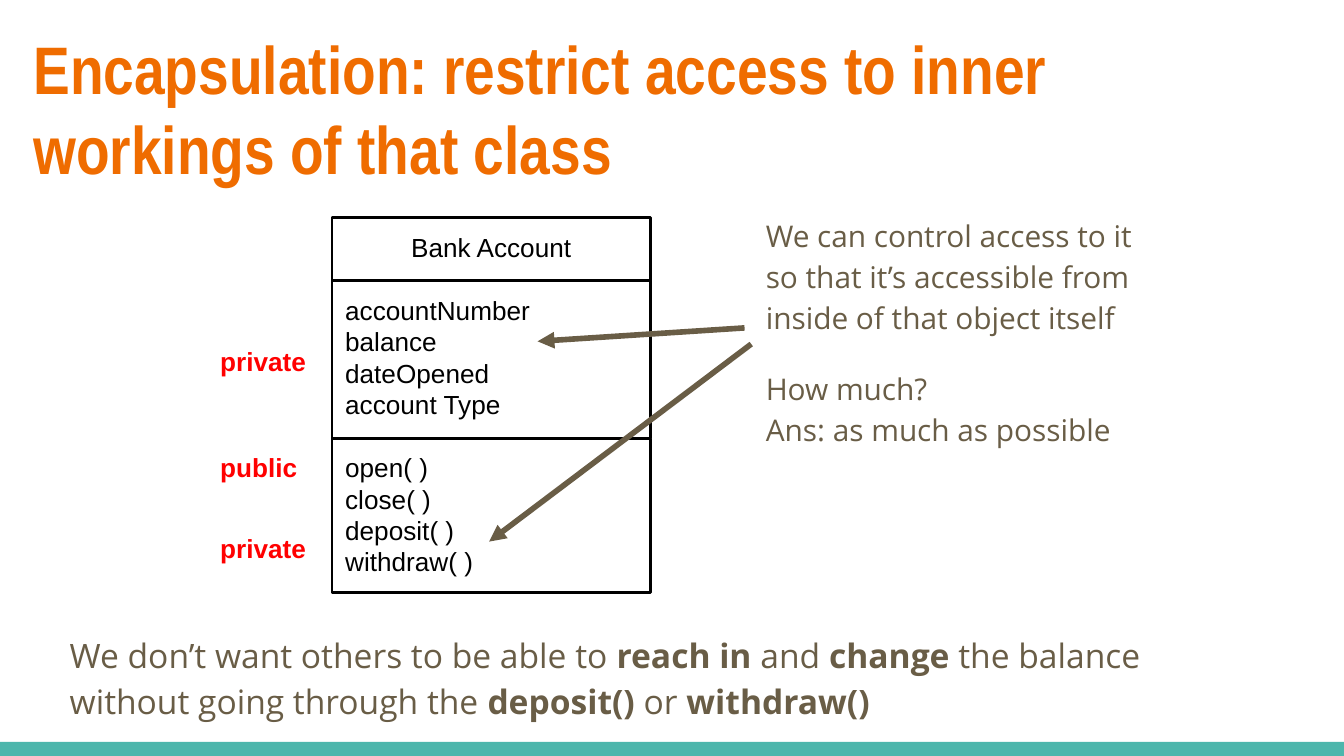
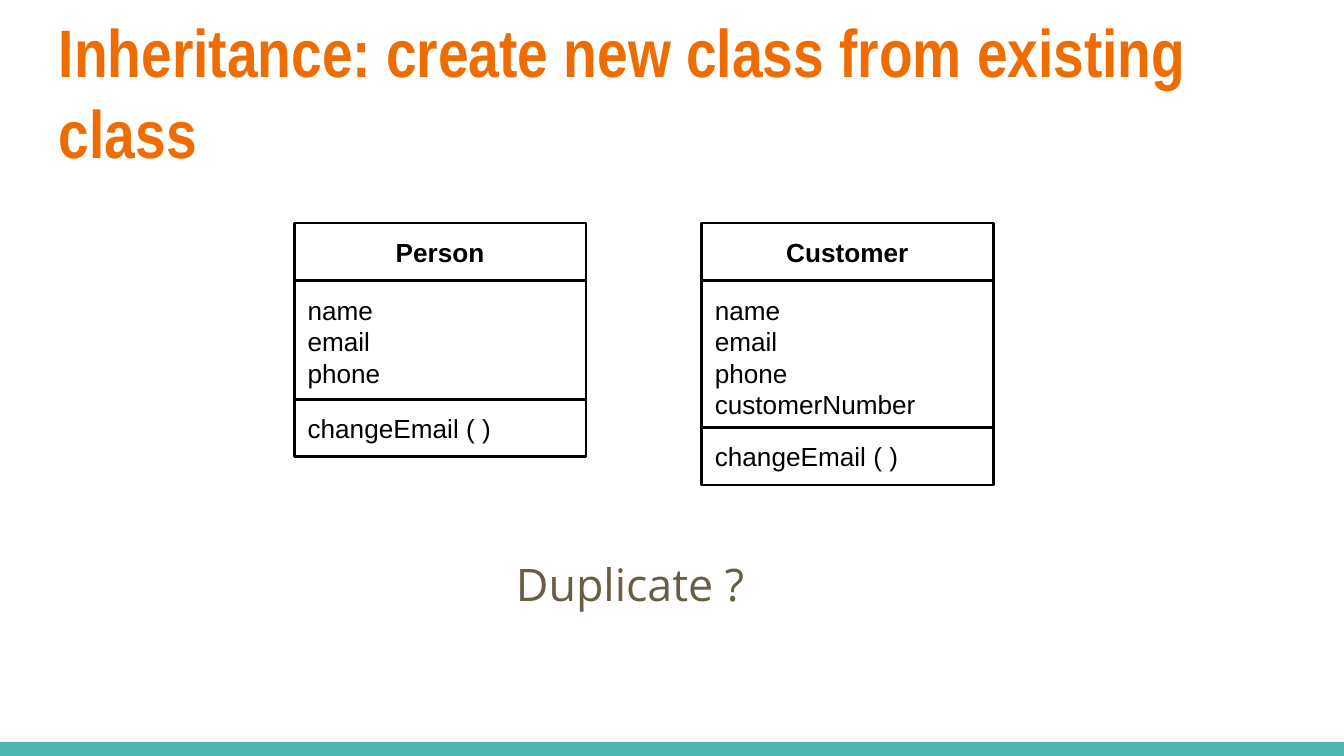
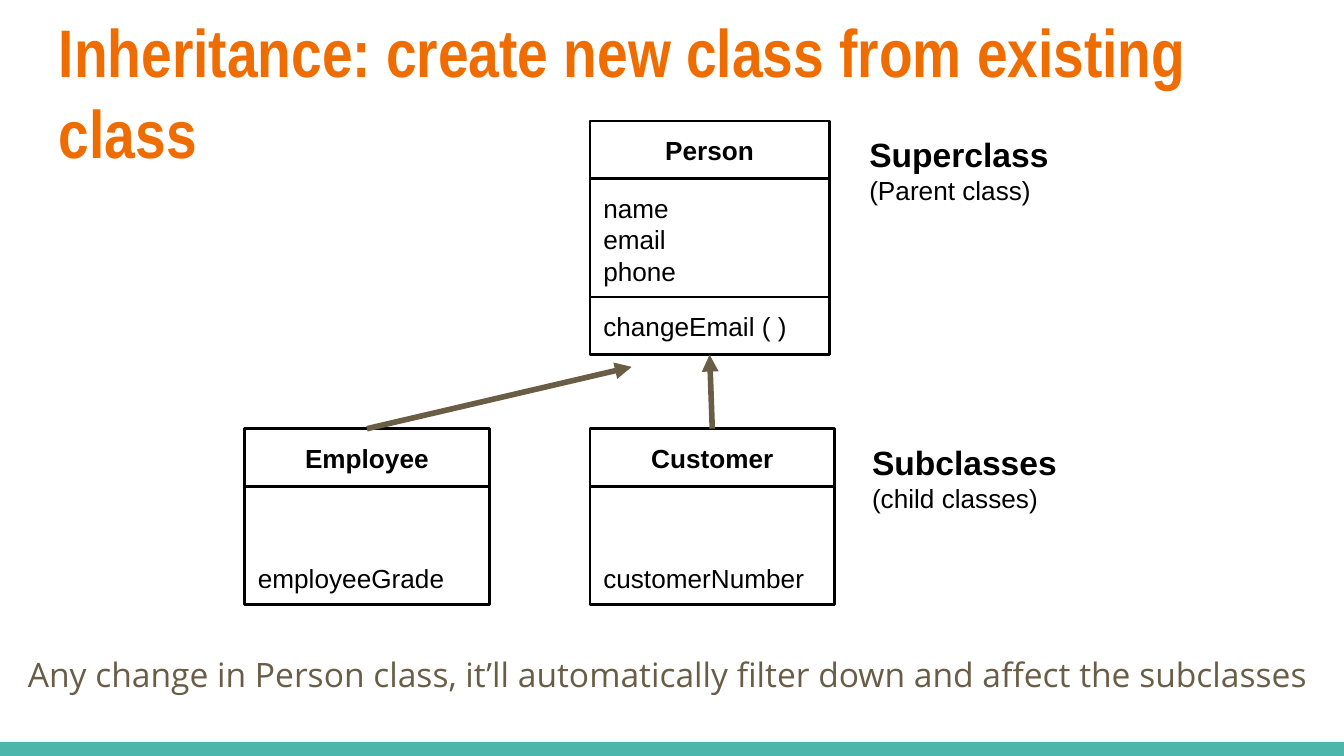
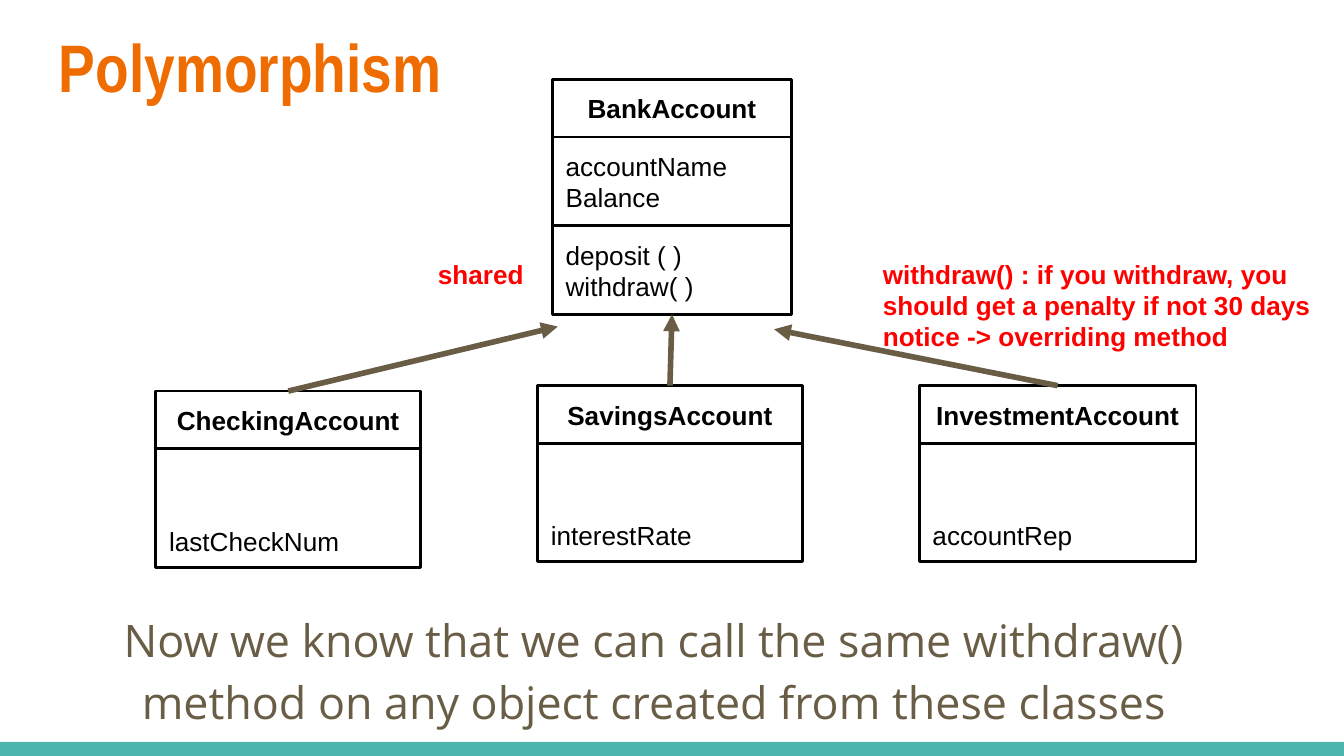
from lxml import etree
from pptx import Presentation
from pptx.dml.color import RGBColor
from pptx.enum.shapes import MSO_CONNECTOR, MSO_SHAPE
from pptx.enum.text import MSO_ANCHOR, PP_ALIGN
from pptx.oxml.ns import qn
from pptx.util import Inches, Pt

RECTANGLE = MSO_SHAPE.RECTANGLE
STRAIGHT = MSO_CONNECTOR.STRAIGHT
TOP, BOTTOM = MSO_ANCHOR.TOP, MSO_ANCHOR.BOTTOM
LEFT, CENTER = PP_ALIGN.LEFT, PP_ALIGN.CENTER
TOP_SIDE, BOTTOM_SIDE = 0, 2

COLORS = {"title": "EF6C00", "body": "695D46", "band": "4DB6AC",
          "ink": "000000", "note": "FF0000"}
STYLES = {
    "title": {"font": "Arial Narrow", "size": 36, "color": "title", "bold": True},
    "body": {"font": "Open Sans", "size": 18, "color": "body", "spacing": 1.15},
    "note": {"font": "Arial", "size": 14, "color": "note", "bold": True},
    "member": {"font": "Arial", "size": 14, "color": "ink"},
    "class name": {"font": "Arial", "size": 14, "color": "ink", "bold": True,
                   "align": CENTER},
    "plain name": {"font": "Arial", "size": 14, "color": "ink", "align": CENTER},
    "caption": {"font": "Arial", "size": 18, "color": "ink", "bold": True},
}
NAME_HEIGHT = 0.43
PERSON = [(0.88, ["name", "email", "phone"]), (0.43, ["changeEmail ( )"])]
INHERITANCE = ("Inheritance: create new class from existing class", (0.34, -0.02, 9.32, 0.74))

# texts: (style, size, place, paragraphs); a paragraph is a string or (string, bold) spans
# classes: name -> (left, top, width, sections of (height, members))
# subclasses: name -> (left, top, width, own member)
# arrows: (start, end), each a point or the name of a class
SLIDES = [
    {
        "title": ("Encapsulation: restrict access to inner workings of that class",
                  (0.15, 0.1, 9.32, 0.77)),
        "texts": [
            ("body", 18, (0.42, 4.58, 9.05, 0.92), [[
                ("We don’t want others to be able to ", False), ("reach in ", True),
                ("and ", False), ("change", True),
                (" the balance without going through the ", False),
                ("deposit()", True), (" or ", False), ("withdraw()", True)]]),
            ("body", 16, (5.6, 1.48, 3.16, 1.94), [
                "We can control access to it so that it’s accessible from "
                "inside of that object itself",
                "How much?\nAns: as much as possible"]),
            ("note", 14, (1.54, 2.47, 0.84, 0.42), ["private"]),
            ("note", 14, (1.54, 3.26, 0.84, 0.42), ["public"]),
            ("note", 14, (1.54, 3.86, 0.84, 0.42), ["private"]),
        ],
        "name style": "plain name",
        "name height": 0.47,
        "classes": {"Bank Account": (2.47, 1.62, 2.37, [
            (1.17, ["accountNumber", "balance", "dateOpened", "account Type"]),
            (1.15, ["open( )", "close( )", "deposit( )", "withdraw( )"])])},
        "arrows": [((5.54, 2.44), (4, 2.54)), ((5.59, 2.56), (3.64, 4.03))],
    },
    {
        "title": INHERITANCE,
        "texts": [("body", 24, (3.74, 3.98, 2.09, 0.63), ["Duplicate ?"])],
        "classes": {
            "Person": (2.19, 1.66, 2.17, PERSON),
            "Customer": (5.22, 1.66, 2.17, [
                (1.09, ["name", "email", "phone", "customerNumber"]),
                (0.43, ["changeEmail ( )"])]),
        },
    },
    {
        "title": INHERITANCE,
        "texts": [
            ("body", 18, (0.11, 4.72, 9.77, 0.66), [
                "Any change in Person class, it’ll automatically filter down "
                "and affect the subclasses"]),
            ("caption", 18, (6.37, 0.9, 1.66, 0.66), ["Superclass", "(Parent class)"]),
            ("caption", 18, (6.39, 3.19, 1.97, 0.66), ["Subclasses", "(child classes)"]),
        ],
        "classes": {"Person": (4.39, 0.9, 1.78, PERSON)},
        "subclasses": {"Employee": (1.82, 3.19, 1.82, "employeeGrade"),
                       "Customer": (4.39, 3.19, 1.82, "customerNumber")},
        "arrows": [("Employee", (4.7, 2.73)), ("Customer", "Person")],
    },
    {
        "title": ("Polymorphism", (0.34, 0.09, 7.53, 0.77)),
        "texts": [
            ("body", 24, (0.25, 4.4, 9.23, 1), [
                "Now we know that we can call the same withdraw() method "
                "on any object created from these classes"]),
            ("note", 14, (3.16, 1.82, 0.84, 0.42), ["shared"]),
            ("note", 14, (6.47, 1.82, 3.42, 0.88), [
                "withdraw() : if you withdraw, you should get a penalty "
                "if not 30 days notice -> overriding method"]),
        ],
        "body align": CENTER,
        "classes": {"BankAccount": (4.11, 0.59, 1.78, [
            (0.66, ["accountName", "Balance"]),
            (0.66, ["deposit ( )", "withdraw( )"])])},
        "subclasses": {"CheckingAccount": (1.16, 2.91, 1.97, "lastCheckNum"),
                       "SavingsAccount": (4, 2.87, 1.97, "interestRate"),
                       "InvestmentAccount": (6.84, 2.87, 2.06, "accountRep")},
        "arrows": [("SavingsAccount", "BankAccount"),
                   ("CheckingAccount", (4.15, 2.43)),
                   ("InvestmentAccount", (5.76, 2.45))],
    },
]


def rgb(name):
    return RGBColor.from_string(COLORS[name])


def inches(values):
    return [Inches(value) for value in values]


def write(box, paragraphs, style_name, size=None, align=None, anchor=TOP):
    style = STYLES[style_name]
    frame = box.text_frame
    frame.word_wrap = True
    frame.vertical_anchor = anchor
    frame.margin_left = frame.margin_right = frame.margin_top = Inches(0.1)
    frame.margin_bottom = Inches(0.08 if anchor == BOTTOM else 0.1)
    for index, content in enumerate(paragraphs):
        para = frame.add_paragraph() if index else frame.paragraphs[0]
        if isinstance(content, str):
            para.text = content
        else:
            for words, bold in content:
                span = para.add_run()
                span.text = words
                span.font.bold = bold
        para.alignment = align or style.get("align", LEFT)
        para.font.name = style["font"]
        para.font.size = Pt(size or style["size"])
        para.font.color.rgb = rgb(style["color"])
        para.font.bold = style.get("bold", False)
        if style_name == "body":
            para.line_spacing = style["spacing"]
            para.space_before = Pt(16 if index else 0)
        if style_name == "caption" and index:
            para.font.size = Pt(14)
            para.font.bold = False


def add_text(page, place, paragraphs, style_name, size=None, align=None):
    box = page.shapes.add_textbox(*inches(place))
    write(box, paragraphs, style_name, size, align)


def add_rectangle(page, place):
    box = page.shapes.add_shape(RECTANGLE, *inches(place))
    box.shadow.inherit = False
    return box


def add_class(page, name, left, top, width, sections, name_style="class name",
              name_height=NAME_HEIGHT, anchor=TOP):
    """Stack the name and the member sections; return the first and last box."""
    boxes = []
    for height, lines in [(name_height, [name])] + sections:
        box = add_rectangle(page, (left, top, width, height))
        box.fill.background()
        box.line.color.rgb = rgb("ink")
        box.line.width = Pt(1.5)
        if boxes:
            write(box, lines, "member", anchor=anchor)
        else:
            write(box, lines, name_style)
        boxes.append(box)
        top += height
    return boxes[0], boxes[-1]


def add_arrow(page, start, end, classes):
    """Point from the top of a class, or a point, to the bottom of another, or a point."""
    start_point = (0, 0) if start in classes else start
    end_point = (0, 0) if end in classes else end
    arrow = page.shapes.add_connector(STRAIGHT, *inches(start_point + end_point))
    if start in classes:
        arrow.begin_connect(classes[start][0], TOP_SIDE)
    if end in classes:
        arrow.end_connect(classes[end][1], BOTTOM_SIDE)
    arrow.line.color.rgb = rgb("body")
    arrow.line.width = Pt(3)
    etree.SubElement(arrow.line._get_or_add_ln(), qn("a:tailEnd"), type="triangle")
    etree.SubElement(arrow._element.spPr, qn("a:effectLst"))


def build_slide(deck, content):
    page = deck.slides.add_slide(deck.slide_layouts[6])
    band = add_rectangle(page, (0, 5.52, 10, 0.11))
    band.fill.solid()
    band.fill.fore_color.rgb = rgb("band")
    band.line.fill.background()

    title, title_place = content["title"]
    add_text(page, title_place, [title], "title")

    classes = {}
    for name, layout in content["classes"].items():
        classes[name] = add_class(page, name, *layout,
                                  content.get("name style", "class name"),
                                  content.get("name height", NAME_HEIGHT))
    for name, (left, top, width, member) in content.get("subclasses", {}).items():
        classes[name] = add_class(page, name, left, top, width,
                                  [(0.88, [member])], anchor=BOTTOM)
    for start, end in content.get("arrows", []):
        add_arrow(page, start, end, classes)
    for style_name, size, place, paragraphs in content["texts"]:
        align = content.get("body align") if style_name == "body" else None
        add_text(page, place, paragraphs, style_name, size, align)


def main():
    deck = Presentation()
    deck.slide_width = Inches(10)
    deck.slide_height = deck.slide_width * 9 // 16
    for content in SLIDES:
        build_slide(deck, content)
    deck.save("out.pptx")


if __name__ == "__main__":
    main()
